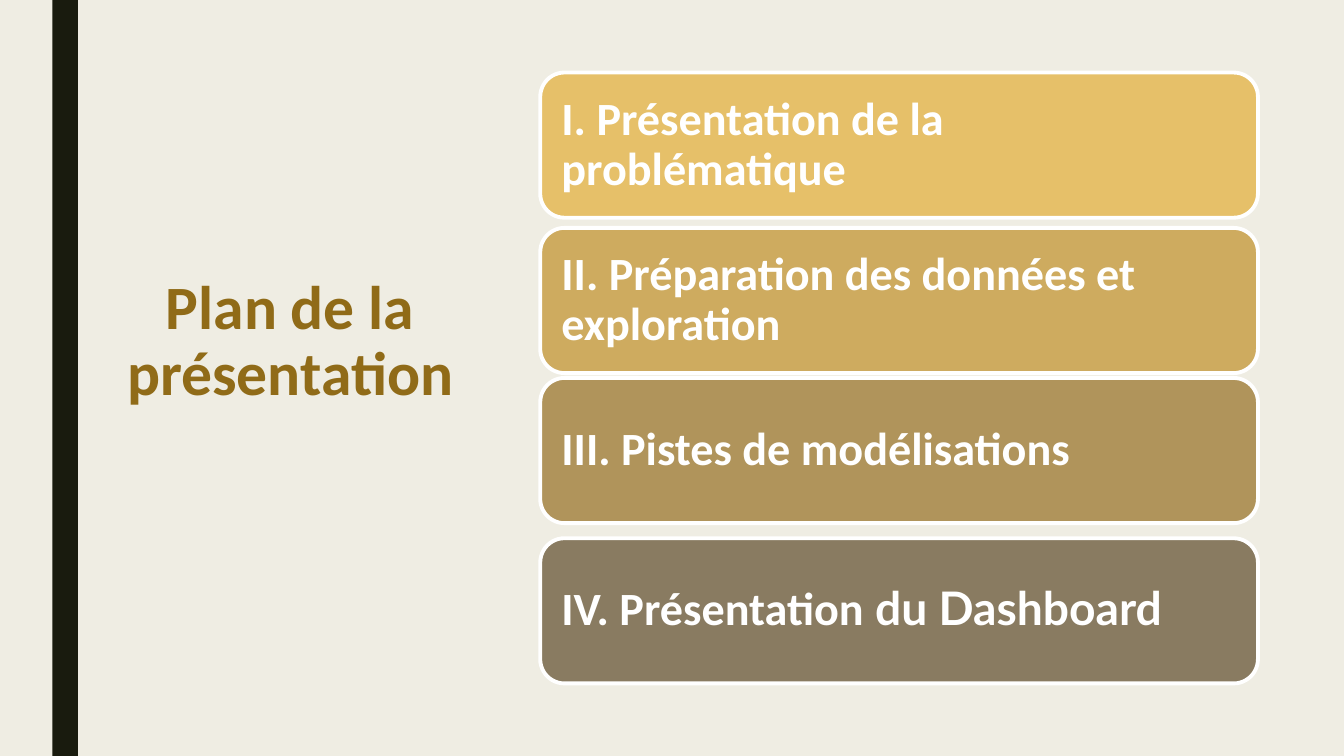
from pptx import Presentation
from pptx.dml.color import RGBColor
from pptx.enum.shapes import MSO_SHAPE
from pptx.enum.text import MSO_ANCHOR, PP_ALIGN
from pptx.util import Inches, Pt


def color(hex_string):
    return RGBColor.from_string(hex_string)


class PlanSlide:
    """Holds the style and the slide; lengths are percentages of the slide's size."""
    FONT = "Calibri"
    ACCENT_FONT = "Lato"
    BACKGROUND, BAR, TITLE, WHITE = "EFEDE3", "191B0E", "906B18", "FFFFFF"

    def __init__(self, presentation):
        self.width = presentation.slide_width
        self.height = presentation.slide_height
        self.slide = presentation.slides.add_slide(presentation.slide_layouts[5])
        fill = self.slide.background.fill
        fill.solid()
        fill.fore_color.rgb = color(self.BACKGROUND)

    def box(self, left, top, width, height):
        return (int(self.width * left / 100), int(self.height * top / 100),
                int(self.width * width / 100), int(self.height * height / 100))

    def shape(self, kind, box, fill):
        shape = self.slide.shapes.add_shape(kind, *self.box(*box))
        shape.shadow.inherit = False
        shape.fill.solid()
        shape.fill.fore_color.rgb = color(fill)
        shape.line.fill.background()
        return shape

    def style(self, paragraph, size, font_color, alignment, spacing):
        paragraph.alignment = alignment
        paragraph.line_spacing = spacing
        font = paragraph.font
        font.name, font.size, font.bold = self.FONT, Pt(size), True
        font.color.rgb = color(font_color)

    def bar(self, box):
        self.shape(MSO_SHAPE.RECTANGLE, box, self.BAR)

    def title(self, text, box):
        title = self.slide.shapes.title
        title.left, title.top, title.width, title.height = self.box(*box)
        frame = title.text_frame
        frame.text = text
        frame.word_wrap = True
        frame.vertical_anchor = MSO_ANCHOR.MIDDLE
        self.style(frame.paragraphs[0], 44, self.TITLE, PP_ALIGN.CENTER, 0.89)

    def card(self, text, accent, box, fill):
        card = self.shape(MSO_SHAPE.ROUNDED_RECTANGLE, box, fill)
        card.line.color.rgb = color(self.WHITE)
        card.line.width = Pt(2.75)
        frame = card.text_frame
        frame.word_wrap = True
        frame.vertical_anchor = MSO_ANCHOR.MIDDLE
        frame.margin_left = frame.margin_top = frame.margin_bottom = Inches(0.14)
        frame.margin_right = Inches(0.2)
        paragraph = frame.paragraphs[0]
        self.style(paragraph, 33, self.WHITE, PP_ALIGN.LEFT, 0.9)
        paragraph.add_run().text = text
        if accent:
            run = paragraph.add_run()
            run.text = accent
            run.font.name = self.ACCENT_FONT


# Text, accented ending, top and fill of each section
SECTIONS = [
    ("I. Présentation de la problématique", "", 9.6, "E6C069"),
    ("II. Préparation des données et exploration", "", 30.15, "CEAB5F"),
    ("III. Pistes de modélisations", "", 50, "B0945B"),
    ("IV. Présentation", " du Dashboard", 71.2, "897B61"),
]


def main():
    presentation = Presentation()
    presentation.slide_width = Inches(13.33)
    presentation.slide_height = Inches(7.5)
    plan = PlanSlide(presentation)

    # Side bar and title
    plan.bar((3.9, 0, 1.9, 100))
    plan.title("Plan de la présentation", (5.25, 9.33, 32.7, 72))

    # Section cards
    for text, accent, top, fill in SECTIONS:
        plan.card(text, accent, (40.2, top, 53.4, 19.2), fill)

    presentation.save("out.pptx")


if __name__ == "__main__":
    main()
